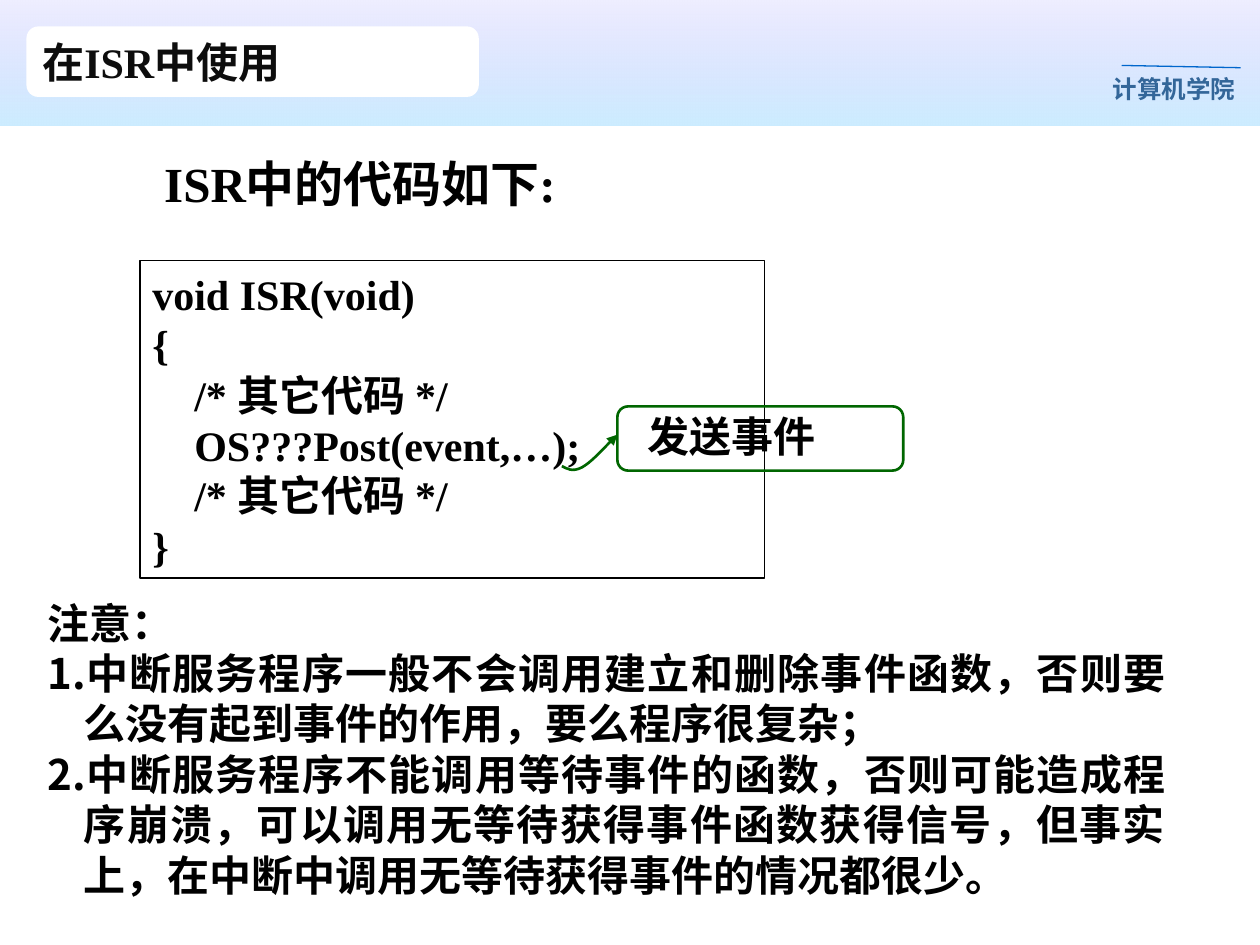
from pptx import Presentation
from pptx.dml.color import RGBColor
from pptx.enum.shapes import MSO_CONNECTOR, MSO_SHAPE
from pptx.enum.text import MSO_ANCHOR, PP_ALIGN
from pptx.oxml.ns import qn
from pptx.util import Pt
from lxml import etree

RECT, ROUNDED = MSO_SHAPE.RECTANGLE, MSO_SHAPE.ROUNDED_RECTANGLE
TOP, MIDDLE = MSO_ANCHOR.TOP, MSO_ANCHOR.MIDDLE
LEFT, JUSTIFY = PP_ALIGN.LEFT, PP_ALIGN.JUSTIFY

# Content
TITLE = "在ISR中使用"
SCHOOL = "计算机学院"
HEADING = "ISR中的代码如下:"
CODE = [
    "void ISR(void)",
    "{",
    "    /* 其它代码 */",
    "    OS???Post(event,…);",
    "    /* 其它代码 */",
    "}",
]
CALLOUT = "发送事件"
NOTES_LABEL = "注意："
NOTES = [
    "中断服务程序一般不会调用建立和删除事件函数，否则要么没有起到事件的作用，要么程序很复杂；",
    "中断服务程序不能调用等待事件的函数，否则可能造成程序崩溃，"
    "可以调用无等待获得事件函数获得信号，但事实上，在中断中调用无等待获得事件的情况都很少。",
]

# Start point, then two cubic curves of three points each
ARROW = [(321.1, 266.4), (324, 267.8), (326.9, 270), (332.6, 267.1),
         (337.7, 264.2), (344.9, 256.3), (352.8, 248.4)]

THEME = {
    "white": "FFFFFF", "black": "000000", "title": "0D0D0D",
    "band_top": "CCCCFF", "band_bottom": "CCECFF", "band_alpha": 32000,
    "school": "336699", "rule": "0066CC", "callout": "006600",
    "serif": "Times New Roman", "sans": "Arial", "cjk": "Noto Sans CJK SC",
    "heading_size": 28, "body_size": 24, "school_size": 14,
    "line_height": 1.2, "corner": 0.167,
}


def color(name):
    return RGBColor.from_string(THEME[name])


def set_line(line, name, width):
    line.color.rgb = color(name)
    line.width = Pt(width)


def add_panel(slide, kind, box, fill=None, outline=None):
    panel = slide.shapes.add_shape(kind, *map(Pt, box))
    panel.shadow.inherit = False
    if kind == ROUNDED:
        panel.adjustments[0] = THEME["corner"]
    if fill:
        panel.fill.solid()
        panel.fill.fore_color.rgb = color(fill)
    else:
        panel.fill.background()
    if outline:
        set_line(panel.line, *outline)
    else:
        panel.line.fill.background()
    return panel


def add_textbox(slide, box):
    return slide.shapes.add_textbox(*map(Pt, box))


def write(holder, lines, size="body_size", ink="black", font="serif",
          align=LEFT, anchor=TOP, margin=7.2, indent=0, hanging=0, numbered_from=None):
    frame = holder.text_frame
    frame_format = {"word_wrap": True, "vertical_anchor": anchor,
                    "margin_left": Pt(margin), "margin_right": Pt(margin),
                    "margin_top": Pt(3.6), "margin_bottom": Pt(3.6)}
    for key, value in frame_format.items():
        setattr(frame, key, value)
    points = THEME[size]
    for index, line in enumerate(lines):
        paragraph = frame.paragraphs[0] if index == 0 else frame.add_paragraph()
        paragraph.alignment = align
        paragraph.line_spacing = Pt(points * THEME["line_height"])
        properties = paragraph._p.get_or_add_pPr()
        properties.set("marL", str(Pt(indent + hanging)))
        properties.set("indent", str(-Pt(hanging)))
        if numbered_from is not None and index >= numbered_from:
            etree.SubElement(properties, qn("a:buFont"), typeface=THEME["cjk"])
            etree.SubElement(properties, qn("a:buAutoNum"), type="arabicPeriod")
        run = paragraph.add_run()
        run.text = line
        run_format = {"size": Pt(points), "bold": True, "name": THEME[font]}
        for key, value in run_format.items():
            setattr(run.font, key, value)
        run.font.color.rgb = color(ink)
        etree.SubElement(run._r.get_or_add_rPr(), qn("a:ea"), typeface=THEME["cjk"])


def add_curved_arrow(slide, points):
    builder = slide.shapes.build_freeform(*map(Pt, points[0]), scale=1.0)
    builder.add_line_segments([(Pt(x), Pt(y)) for x, y in points[1:]], close=False)
    arrow = builder.convert_to_shape()
    arrow.shadow.inherit = False
    arrow.fill.background()
    set_line(arrow.line, "callout", 1.5)
    etree.SubElement(arrow.line._get_or_add_ln(), qn("a:tailEnd"), type="triangle")
    # Turn every three segments into one cubic curve
    outline = next(arrow._element.iter(qn("a:path")))
    segments = outline.findall(qn("a:lnTo"))
    for start in range(0, len(segments), 3):
        curve = etree.SubElement(outline, qn("a:cubicBezTo"))
        for segment in segments[start:start + 3]:
            curve.append(segment[0])
            outline.remove(segment)


def main():
    deck = Presentation()
    deck.slide_width, deck.slide_height = Pt(720), Pt(540)
    slide = deck.slides.add_slide(deck.slide_layouts[6])

    # Header band
    band = add_panel(slide, RECT, (0, 0, 720, 71.5), fill="white")
    band.fill.gradient()
    band.fill.gradient_angle = 270
    for stop, name, position in zip(band.fill.gradient_stops,
                                    ("band_top", "band_bottom"), (0, 1)):
        stop.color.rgb = color(name)
        stop.position = position
    first_color = next(band._element.spPr.iter(qn("a:srgbClr")))
    etree.SubElement(first_color, qn("a:alpha"), val=str(THEME["band_alpha"]))

    # School name and its rule
    write(add_textbox(slide, (635.8, 38.9, 84.2, 24.5)), [SCHOOL],
          size="school_size", ink="school", font="sans", margin=0)
    rule = slide.shapes.add_connector(
        MSO_CONNECTOR.STRAIGHT, Pt(641), Pt(37.4), Pt(709), Pt(38.7))
    set_line(rule.line, "rule", 0.75)
    etree.SubElement(rule._element.spPr, qn("a:effectLst"))

    # Heading and code
    write(add_textbox(slide, (51.8, 84.2, 568, 41)), [HEADING],
          size="heading_size", align=JUSTIFY, indent=35)
    code_panel = add_panel(slide, RECT, (80, 149, 357, 181.4),
                           fill="white", outline=("black", 0.75))
    write(code_panel, CODE, align=JUSTIFY, anchor=MIDDLE, hanging=13.5)

    # Callout
    write(add_textbox(slide, (362.9, 230.4, 152.6, 36.7)), [CALLOUT], anchor=MIDDLE)
    add_panel(slide, ROUNDED, (352.8, 232.2, 163.4, 36.7), outline=("callout", 1.5))
    add_curved_arrow(slide, ARROW)

    # Notes
    write(add_textbox(slide, (20.2, 337.7, 653, 181.4)), [NOTES_LABEL] + NOTES,
          font="cjk", align=JUSTIFY, hanging=20.6, numbered_from=1)

    # Title
    title_panel = add_panel(slide, ROUNDED, (15.1, 15.1, 258.5, 40.3), fill="white")
    write(title_panel, [TITLE], ink="title", anchor=MIDDLE)

    deck.save("out.pptx")


if __name__ == "__main__":
    main()
